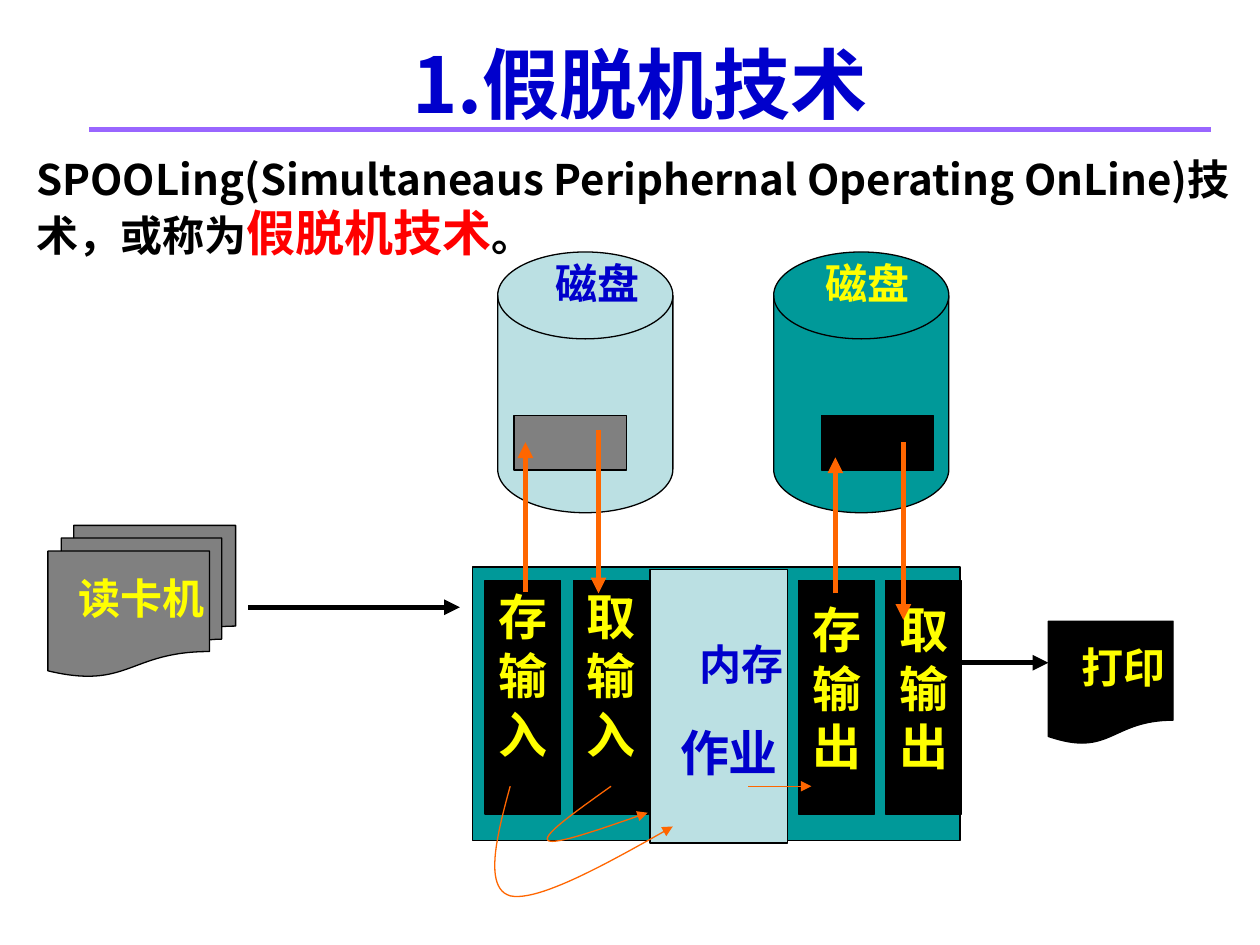
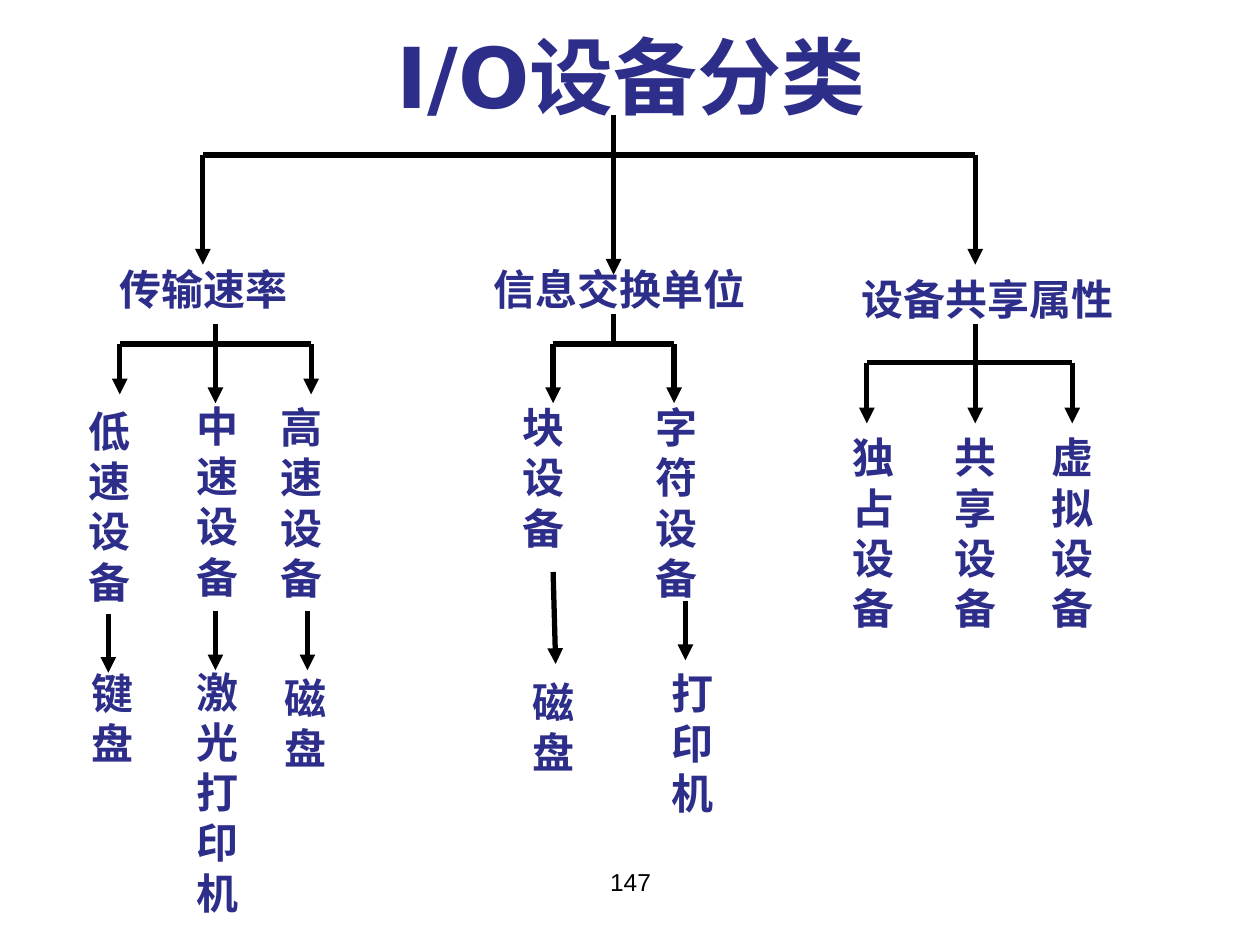
from dataclasses import dataclass
from pptx import Presentation
from pptx import util as u
from pptx.dml.color import RGBColor
from pptx.enum import shapes, text
from pptx.oxml.ns import qn
from lxml import etree

COLUMNS, ROWS = 100, 75
CELL = u.Inches(0.1)
LINE_HEIGHT = 1.195
CURVE_STEPS = 24

BLACK = RGBColor(0x00, 0x00, 0x00)
WHITE = RGBColor(0xFF, 0xFF, 0xFF)
BLUE = RGBColor(0x00, 0x00, 0xCC)
NAVY = RGBColor(0x2D, 0x2D, 0x8A)
RED = RGBColor(0xFF, 0x00, 0x00)
YELLOW = RGBColor(0xFF, 0xFF, 0x00)
ORANGE = RGBColor(0xFF, 0x66, 0x00)
PURPLE = RGBColor(0x99, 0x66, 0xFF)
TEAL = RGBColor(0x00, 0x99, 0x99)
PALE = RGBColor(0xBB, 0xE0, 0xE3)
GREY = RGBColor(0x80, 0x80, 0x80)

CJK, SANS, SERIF, PLAIN = "Noto Sans CJK SC", "DejaVu Sans", "Times New Roman", "Arial"
SHAPE = shapes.MSO_SHAPE


@dataclass
class Box:
    left: float
    top: float
    width: float
    height: float

    def emu(self) -> list[int]:
        return [grid(v) for v in (self.left, self.top, self.width, self.height)]


@dataclass
class Part:
    kind: SHAPE
    box: Box
    fill: RGBColor


@dataclass
class Label:
    words: str
    box: Box
    size: float = 24
    color: RGBColor = NAVY
    font: str = SANS
    inset: float = 1.4
    bold: bool = True


@dataclass
class Line:
    x1: float
    y1: float
    x2: float
    y2: float
    color: RGBColor = BLACK
    weight: float = 3
    arrow: bool = True


@dataclass
class Branch:
    stem_x: float
    stem_top: float
    bar_y: float
    bar_left: float
    bar_right: float
    tip: float
    stem_tip: float


def grid(cells: float) -> int:
    return round(cells * CELL)


def style_run(r, size: float, color: RGBColor, font: str, bold: bool = True) -> None:
    r.font.size = u.Pt(size)
    r.font.bold = bold
    r.font.color.rgb = color
    r.font.name = font
    latin = r._r.rPr.find(qn("a:latin"))
    ea = etree.Element(qn("a:ea"), typeface=CJK)
    latin.addnext(ea)


def text_frame(s, box: Box, inset: float):
    sp = s.shapes.add_textbox(*box.emu())
    tf = sp.text_frame
    tf.word_wrap = True
    tf.vertical_anchor = text.MSO_ANCHOR.TOP
    tf.margin_left = tf.margin_right = grid(inset)
    tf.margin_top = tf.margin_bottom = grid(inset / 2)
    return sp, tf


def add_label(s, label: Label) -> None:
    _, tf = text_frame(s, label.box, label.inset)
    tf.text = label.words
    p = tf.paragraphs[0]
    p.alignment = text.PP_ALIGN.CENTER
    p.line_spacing = u.Pt(round(label.size * LINE_HEIGHT, 1))
    style_run(p.runs[0], label.size, label.color, label.font, label.bold)


def add_part(s, part: Part) -> None:
    sp = s.shapes.add_shape(part.kind, *part.box.emu())
    sp.shadow.inherit = False
    sp.fill.solid()
    sp.fill.fore_color.rgb = part.fill
    sp.line.color.rgb = BLACK
    sp.line.width = u.Pt(0.75)


def style_stroke(sp, color: RGBColor, weight: float, arrow: bool) -> None:
    sp.line.color.rgb = color
    sp.line.width = u.Pt(weight)
    if arrow:
        etree.SubElement(sp.line._get_or_add_ln(), qn("a:tailEnd"), type="triangle")


def add_line(s, line: Line) -> None:
    ends = [grid(v) for v in (line.x1, line.y1, line.x2, line.y2)]
    sp = s.shapes.add_connector(shapes.MSO_CONNECTOR.STRAIGHT, *ends)
    style_stroke(sp, line.color, line.weight, line.arrow)
    etree.SubElement(sp._element.spPr, qn("a:effectLst"))


def bezier(knots: list, t: float) -> tuple[int, int]:
    weights = ((1 - t) ** 3, 3 * t * (1 - t) ** 2, 3 * t * t * (1 - t), t ** 3)
    return tuple(grid(sum(w * k[axis] for w, k in zip(weights, knots))) for axis in (0, 1))


def add_curve(s, knots: list[tuple[float, float]]) -> None:
    points = [bezier(knots[i:i + 4], step / CURVE_STEPS)
              for i in range(0, len(knots) - 1, 3) for step in range(CURVE_STEPS + 1)]
    builder = s.shapes.build_freeform(*points[0])
    builder.add_line_segments(points[1:], close=False)
    sp = builder.convert_to_shape()
    sp.shadow.inherit = False
    sp.fill.background()
    style_stroke(sp, ORANGE, 0.75, True)


def add_branch(s, b: Branch) -> None:
    add_line(s, Line(b.bar_left, b.bar_y, b.bar_right, b.bar_y, arrow=False))
    for x in (b.bar_left, b.bar_right):
        add_line(s, Line(x, b.bar_y, x, b.tip))
    add_line(s, Line(b.stem_x, b.stem_top, b.stem_x, b.stem_tip, arrow=b.stem_tip > b.bar_y))


def add_intro(s) -> None:
    sp, tf = text_frame(s, Box(1.9, 11.2, 96.9, 9.7), 1)
    sp.fill.solid()
    sp.fill.fore_color.rgb = WHITE
    p = tf.paragraphs[0]
    p.line_spacing = u.Pt(32.6)
    for words, size, color in (
        ("SPOOLing(Simultaneaus Periphernal Operating OnLine)技术，或称为", 24, BLACK),
        ("假脱机技术", 28, RED),
        ("。", 24, BLACK),
    ):
        r = p.add_run()
        r.text = words
        style_run(r, size, color, CJK)


def build_spooling(s) -> None:
    add_label(s, Label("1.假脱机技术", Box(7.9, 2.4, 85.8, 8.4), 44, BLUE, CJK, 1))
    add_intro(s)
    add_line(s, Line(7.1, 10.3, 96.1, 10.3, PURPLE, arrow=False))

    for part in (
        Part(SHAPE.RECTANGLE, Box(37.5, 45, 38.7, 21.7), TEAL),
        Part(SHAPE.FLOWCHART_MAGNETIC_DISK, Box(39.5, 20, 13.9, 20.7), PALE),
        Part(SHAPE.FLOWCHART_MAGNETIC_DISK, Box(61.4, 20, 13.9, 20.7), TEAL),
        Part(SHAPE.RECTANGLE, Box(51.6, 45.2, 10.9, 21.7), PALE),
        Part(SHAPE.FLOWCHART_MULTIDOCUMENT, Box(3.8, 41.7, 14.9, 12), GREY),
        Part(SHAPE.RECTANGLE, Box(40.8, 33, 8.9, 4.3), GREY),
        Part(SHAPE.RECTANGLE, Box(65.2, 33, 8.9, 4.3), BLACK),
        Part(SHAPE.FLOWCHART_DOCUMENT, Box(83.2, 49.3, 9.9, 9.8), BLACK),
    ):
        add_part(s, part)

    for words, left, top in (("存输入", 38.5, 46.1), ("取输入", 45.5, 46.1),
                             ("存输出", 63.4, 47.1), ("取输出", 70.3, 47.1)):
        add_part(s, Part(SHAPE.RECTANGLE, Box(left, 46.1, 6, 18.5), BLACK))
        add_label(s, Label(words, Box(left, top, 6, 15), 28, YELLOW, SERIF, 1))

    for words, left, top, width, size, color in (
        ("内存", 52.4, 50.2, 12.9, 24, BLUE),
        ("作业", 52.4, 56.9, 10.9, 28, BLUE),
        ("磁盘", 42.5, 20, 9.9, 24, BLUE),
        ("磁盘", 64.4, 20, 8.9, 24, YELLOW),
        ("打印", 83.2, 50.4, 11.9, 24, YELLOW),
        ("读卡机", 4.8, 45, 12.9, 24, YELLOW),
    ):
        add_label(s, Label(words, Box(left, top, width, 5), size, color, SERIF, 1))

    for line in (
        Line(19.7, 48.2, 36.5, 48.2),
        Line(74.3, 52.6, 83.2, 52.6),
        Line(41.7, 47, 41.7, 35.1, ORANGE),
        Line(47.5, 34.1, 47.5, 47.1, ORANGE),
        Line(66.3, 47.1, 66.3, 36.3, ORANGE),
        Line(71.7, 35.1, 71.7, 49.2, ORANGE),
        Line(59.4, 62.4, 64.4, 62.4, ORANGE, 0.75),
    ):
        add_line(s, line)

    add_curve(s, [(40.5, 62.4), (39.4, 66.4), (38.4, 70.5), (40.5, 71.1),
                  (42.7, 71.6), (48.1, 68.6), (53.4, 65.6)])
    add_curve(s, [(48.5, 62.4), (45.7, 64.4), (43, 66.3), (43.5, 66.7),
                  (44, 67.1), (47.7, 65.8), (51.4, 64.5)])


def build_devices(s) -> None:
    add_label(s, Label("147", Box(34.2, 68.3, 31.7, 5.2), 14, BLACK, PLAIN, 1, False))
    add_label(s, Label("I/O设备分类", Box(9.4, 1.3, 81.4, 9.4), 48))

    for branch in (
        Branch(48.7, 9.1, 12.3, 16.1, 77.4, 21, 21.8),
        Branch(17.1, 25.7, 27.3, 9.5, 24.7, 31.3, 32),
        Branch(48.7, 24.9, 27.3, 43.9, 53.5, 32, 27.3),
        Branch(77.4, 25.7, 28.8, 68.8, 85.1, 33.6, 33.6),
    ):
        add_branch(s, branch)

    for words, left, top, width in (
        ("传输速率", 5.6, 20.2, 21.1),
        ("信息交换单位", 25.7, 20.2, 46.9),
        ("设备共享属性", 64, 21, 28.7),
    ):
        add_label(s, Label(words, Box(left, top, width, 5.4)))

    for words, left, top, width in (
        ("低速设备", 5.6, 31.5, 6.2),
        ("中速设备", 14.2, 31.1, 5.7),
        ("高速设备", 20.9, 31.2, 5.4),
        ("块设备", 40.1, 31.2, 5.7),
        ("字符设备", 50.6, 31.2, 5.7),
        ("独占设备", 65, 33.6, 8.6),
        ("共享设备", 73.6, 33.6, 7.7),
        ("虚拟设备", 81.3, 33.6, 7.7),
    ):
        add_label(s, Label(words, Box(left, top, width, 1.4 + 4 * len(words))))

    add_label(s, Label("键盘", Box(5.3, 52.3, 7.2, 9.4)))
    for words, left, top in (("激光打印机", 13.9, 52.4), ("磁盘", 20.9, 52.9),
                             ("磁盘", 40.6, 53.2), ("打印机", 51.6, 52.5)):
        add_label(s, Label(words, Box(left, top, 6.7, 1 + 4 * len(words)), font=SERIF, inset=1))

    for x1, y1, x2, y2 in (
        (8.6, 48.7, 8.6, 53.4),
        (17.1, 48.5, 17.1, 53.2),
        (24.4, 48.5, 24.4, 53.2),
        (43.9, 45.4, 44.1, 52.7),
        (54.4, 47.7, 54.4, 52.4),
    ):
        add_line(s, Line(x1, y1, x2, y2))


def main() -> None:
    prs = Presentation()
    prs.slide_width, prs.slide_height = COLUMNS * CELL, ROWS * CELL
    for build in (build_spooling, build_devices):
        build(prs.slides.add_slide(prs.slide_layouts[6]))
    prs.save("out.pptx")


if __name__ == "__main__":
    main()
